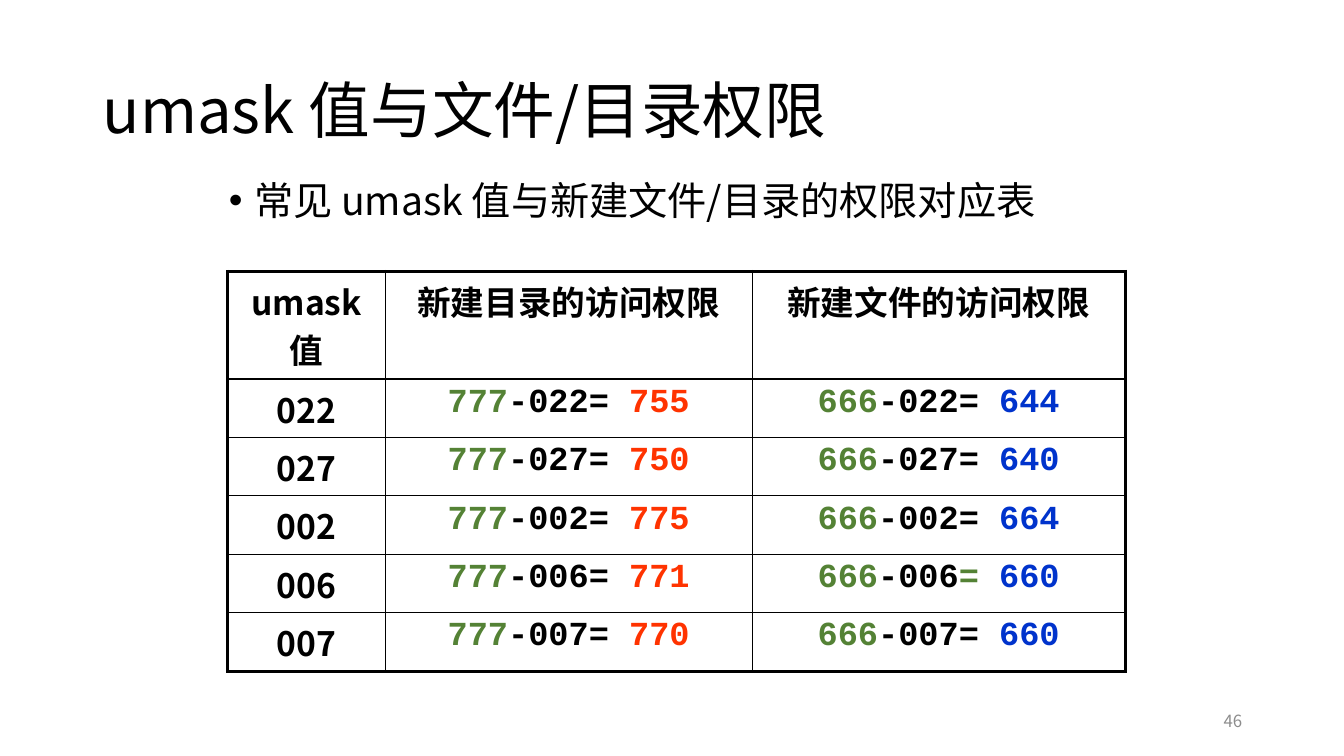
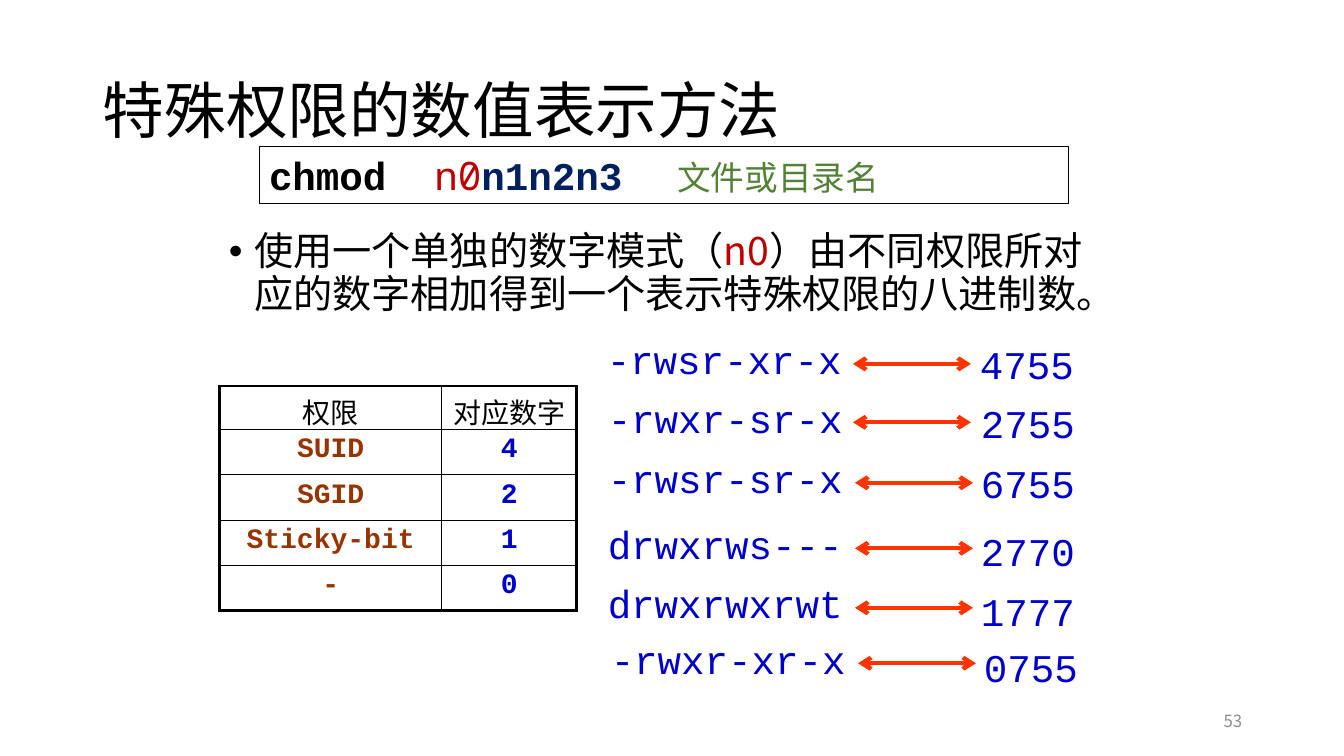
import pptx
import pptx.util
import pptx.dml.color
import pptx.enum.shapes
import pptx.enum.text
import pptx.oxml.ns
from lxml import etree

Inches = pptx.util.Inches
Pt = pptx.util.Pt
RGBColor = pptx.dml.color.RGBColor
Align = pptx.enum.text.PP_ALIGN
Anchor = pptx.enum.text.MSO_ANCHOR
qn = pptx.oxml.ns.qn

# Shared colours and fonts
BLACK = RGBColor(0x00, 0x00, 0x00)
GRAY = RGBColor(0x8C, 0x8C, 0x8C)
GREEN = RGBColor(0x54, 0x82, 0x35)
ORANGE = RGBColor(0xFF, 0x33, 0x00)
BLUE = RGBColor(0x00, 0x33, 0xCC)
INDIGO = RGBColor(0x00, 0x00, 0xCC)
NAVY = RGBColor(0x00, 0x20, 0x60)
RED = RGBColor(0xC0, 0x00, 0x00)
BROWN = RGBColor(0x99, 0x33, 0x00)
SANS = "Noto Sans CJK SC"
MONO = "Noto Sans Mono"
CODE = "Courier New"
SERIF = "Times New Roman"


# Text helpers
def add(parent, tag, **attrs):
    return etree.SubElement(parent, qn(tag), attrs)


def style(font, size, name=SANS, color=BLACK, bold=False):
    font.size = Pt(size)
    font.bold = bold
    font.color.rgb = color
    font.name = name
    add(font._rPr, "a:ea", typeface=SANS)


def write(frame, text, size, name=SANS, color=BLACK, bold=False, align=Align.LEFT):
    """Fill a frame with one paragraph; text is a string or (text, colour) parts."""
    para = frame.paragraphs[0]
    para.alignment = align
    para.space_before = Pt(0)
    if isinstance(text, str):
        para.add_run().text = text
        style(para.font, size, name, color, bold)
        return para
    for part, tint in text:
        run = para.add_run()
        run.text = part
        style(run.font, size, name, tint, bold)
    return para


def place(shape, left, top, width, height):
    shape.left, shape.top = Inches(left), Inches(top)
    shape.width, shape.height = Inches(width), Inches(height)


def label(slide, box, text, wrap=True, **look):
    frame = slide.shapes.add_textbox(*map(Inches, box)).text_frame
    frame.word_wrap = wrap
    write(frame, text, **look)
    return frame


# Title, bullet and page number, the same on each slide
def page(deck, title, body, top, height, number):
    slide = deck.slides.add_slide(deck.slide_layouts[1])
    head, main_box = slide.placeholders
    place(head, 0.92, 0.4, 11.5, 1.45)
    head.text_frame.vertical_anchor = Anchor.MIDDLE
    write(head.text_frame, title, 44).line_spacing = 0.9

    place(main_box, 2.17, top, 9, height)
    frame = main_box.text_frame
    frame.auto_size = pptx.enum.text.MSO_AUTO_SIZE.NONE
    props = frame.paragraphs[0]._p.get_or_add_pPr()
    props.set("marL", str(Inches(0.25)))
    props.set("indent", str(Inches(-0.25)))
    add(props, "a:buChar", char="•")
    write(frame, body, 28).line_spacing = 0.9

    foot = label(slide, (9.42, 6.95, 3, 0.4), number, size=12, color=GRAY,
                 align=Align.RIGHT)
    foot.vertical_anchor = Anchor.MIDDLE
    return slide


# Table with a thick frame and thin inner lines
def edge(cell, side, width):
    line = add(cell._tc.get_or_add_tcPr(), f"a:ln{side}", w=str(Pt(width)))
    fill = add(line, "a:solidFill")
    add(fill, "a:srgbClr", val=str(BLACK))


def grid(slide, left, top, widths, heights, rows):
    """Each cell is a (text, look) pair."""
    box = map(Inches, (left, top, sum(widths), sum(heights)))
    table = slide.shapes.add_table(len(rows), len(widths), *box).table
    table.first_row = table.horz_banding = False
    for col, width in zip(table.columns, widths):
        col.width = Inches(width)
    for row, height in zip(table.rows, heights):
        row.height = Inches(height)
    for r, row in enumerate(rows):
        for c, (text, look) in enumerate(row):
            cell = table.cell(r, c)
            outer = {"L": c == 0, "R": c == len(widths) - 1,
                     "T": r == 0, "B": r == len(rows) - 1}
            for side, thick in outer.items():
                edge(cell, side, 2.25 if thick else 1)
            cell.fill.background()
            write(cell.text_frame, text, align=Align.CENTER, **look)
    return table


def arrow(slide, left, right, y):
    ends = map(Inches, (left, y, right, y))
    link = slide.shapes.add_connector(pptx.enum.shapes.MSO_CONNECTOR.STRAIGHT, *ends)
    link.line.color.rgb = ORANGE
    link.line.width = Pt(3)
    props = link._element.spPr
    line = props.find(qn("a:ln"))
    add(line, "a:headEnd", type="arrow")
    add(line, "a:tailEnd", type="arrow")
    add(props, "a:effectLst")


# Slide 1: umask values
def umask(deck):
    slide = page(deck, "umask 值与文件/目录权限",
                 "常见 umask 值与新建文件/目录的权限对应表", 1.75, 0.66, "46")
    bold = dict(size=24, bold=True)
    code = dict(bold, name=CODE)

    def rest(full, mask, tint, sign=BLACK):
        left = int(full, 8) & ~int(mask, 8)
        return [(full, GREEN), (f"-{mask}", BLACK), ("= ", sign), (f"{left:03o}", tint)], code

    rows = [[(text, bold) for text in ("umask值", "新建目录的访问权限", "新建文件的访问权限")]]
    for mask in ("022", "027", "002", "006", "007"):
        sign = GREEN if mask == "006" else BLACK
        rows.append([(mask, bold), rest("777", mask, ORANGE), rest("666", mask, BLUE, sign)])
    # The header row holds two lines
    grid(slide, 2.26, 2.69, [1.56, 3.64, 3.7], [1.07] + [0.58] * 5, rows)


# Slide 2: special permissions
def special(deck):
    body = [("使用一个单独的数字模式（", BLACK), ("n0", RED),
            ("）由不同权限所对应的数字相加得到一个表示特殊权限的八进制数。", BLACK)]
    slide = page(deck, "特殊权限的数值表示方法", body, 2.25, 1.1, "53")

    # Command syntax
    box = slide.shapes.add_shape(pptx.enum.shapes.MSO_SHAPE.RECTANGLE,
                                 *map(Inches, (2.57, 1.45, 8.03, 0.57)))
    box.shadow.inherit = False
    box.fill.background()
    box.line.color.rgb = BLACK
    box.line.width = Pt(0.75)
    box.text_frame.vertical_anchor = Anchor.TOP
    para = box.text_frame.paragraphs[0]
    para.alignment = Align.LEFT
    tabs = add(para._p.get_or_add_pPr(), "a:tabLst")
    for stop in (1.64, 4.05):
        add(tabs, "a:tab", pos=str(Inches(stop)), algn="l")
    for text, *look in (("chmod\t", 28, CODE, BLACK, True), ("n0", 28, MONO, RED),
                        ("n1n2n3\t", 28, CODE, NAVY, True),
                        ("文件或目录名", 24, MONO, GREEN)):
        run = para.add_run()
        run.text = text
        style(run.font, *look)

    # Permission digits
    head = dict(size=20, name=SERIF)
    name = dict(size=20, name=CODE, color=BROWN, bold=True)
    digit = dict(name, color=INDIGO)
    rows = [[("权限", head), ("对应数字", head)]]
    for text, value in (("SUID", "4"), ("SGID", "2"), ("Sticky-bit", "1"), ("-", "0")):
        rows.append([(text, name), (value, digit)])
    table = grid(slide, 2.18, 3.83, [2.2, 1.34], [0.43] + [0.45] * 4, rows)
    for cell in table.rows[0].cells:
        cell.margin_bottom = 0

    # Modes and their octal numbers
    code = dict(size=28, name=CODE, color=INDIGO)
    for mode, octal, left, top, drop, start in (
            ("-rwsr-xr-x", "4755", 5.92, 3.28, 0.05, 8.46),
            ("-rwxr-sr-x", "2755", 5.93, 3.86, 0.05, 8.46),
            ("-rwsr-sr-x", "6755", 5.93, 4.46, 0.05, 8.48),
            ("drwxrws---", "2770", 5.93, 5.11, 0.07, 8.48),
            ("drwxrwxrwt", "1777", 5.93, 5.7, 0.08, 8.48),
            ("-rwxr-xr-x", "0755", 5.96, 6.25, 0.08, 8.51)):
        label(slide, (left, top, 2.53, 0.57), mode, wrap=False, **code)
        label(slide, (left + 3.7, top + drop, 1.29, 0.57), octal, **code)
        arrow(slide, start, start + 1.17, top + 0.33)


def main():
    deck = pptx.Presentation()
    deck.slide_width, deck.slide_height = Inches(13.33), Inches(7.5)
    umask(deck)
    special(deck)
    deck.save("out.pptx")


if __name__ == "__main__":
    main()
